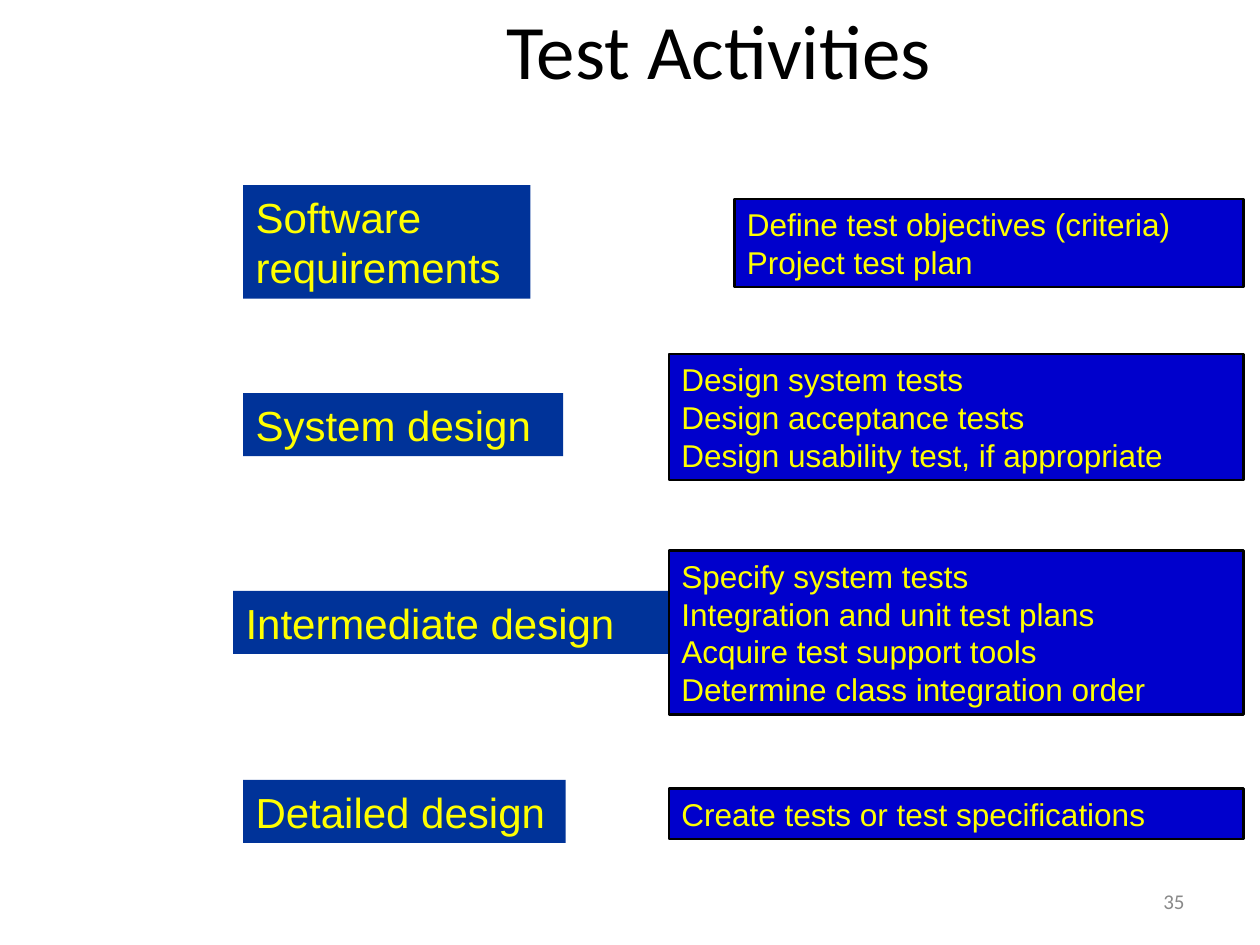
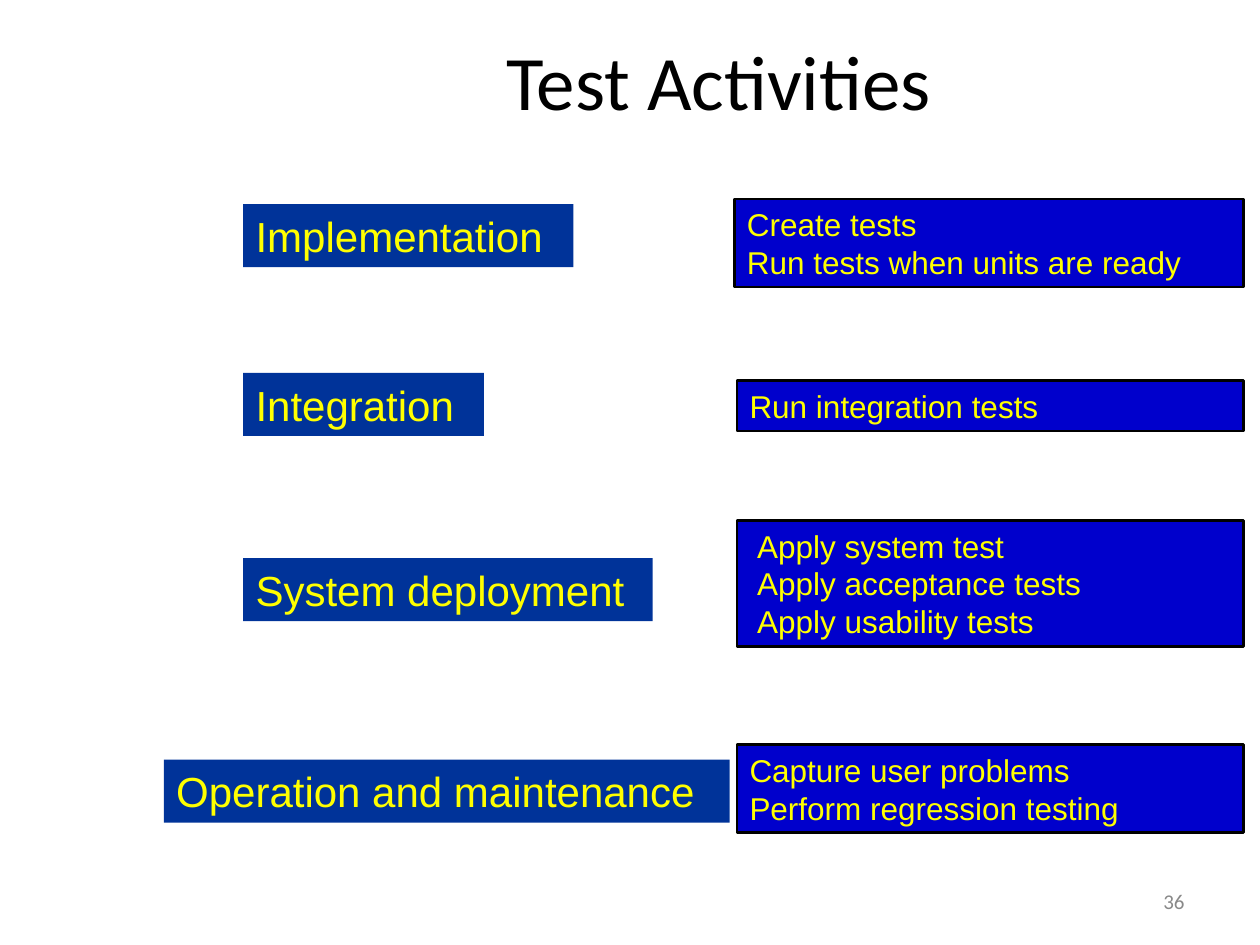
from pptx import Presentation
from pptx.dml.color import RGBColor
from pptx.enum import shapes, text
from pptx.util import Inches, Pt

TITLE = "Test Activities"
PHASE_FILL, ACTIVITY_FILL = "003399", "0000CC"
YELLOW, BLACK, GREY = "FFFF00", "000000", "898989"
PHASE_LEFT, ACTIVITY_RIGHT = 1.93, 9.87
PAD_X, PAD_Y = 0.1, 0.05

# phase: (lines, left, top, width); activities: (lines, left, top, indent)
SLIDES = [
    {"number": 35, "title_top": 0, "title_height": 0.77, "rows": [
        ((["Software requirements"], PHASE_LEFT, 1.47, 2.28),
         (["Define test objectives (criteria)", "Project test plan"], 5.83, 1.58, 0)),
        ((["System design"], PHASE_LEFT, 3.12, 2.54),
         (["Design system tests", "Design acceptance tests",
           "Design usability test, if appropriate"], 5.31, 2.81, 0)),
        ((["Intermediate design"], 1.85, 4.69, 3.49),
         (["Specify system tests", "Integration and unit test plans",
           "Acquire test support tools", "Determine class integration order"],
          5.31, 4.37, 0)),
        ((["Detailed design"], PHASE_LEFT, 6.19, 2.56),
         (["Create tests or test specifications"], 5.31, 6.26, 0)),
    ]},
    {"number": 36, "title_top": 0.21, "title_height": 0.85, "rows": [
        ((["Implementation"], PHASE_LEFT, 1.62, 2.62),
         (["Create tests", "Run tests when units are ready"], 5.83, 1.58, 0)),
        ((["Integration"], PHASE_LEFT, 2.96, 1.91),
         (["Run integration tests"], 5.85, 3.02, 0)),
        ((["System deployment"], PHASE_LEFT, 4.43, 3.25),
         (["Apply system test", "Apply acceptance tests", "Apply usability tests"],
          5.85, 4.13, 0.06)),
        ((["Operation and maintenance"], 1.3, 6.03, 4.49),
         (["Capture user problems", "Perform regression testing"], 5.85, 5.91, 0)),
    ]},
]
TWO_LINE_PHASES = {"Software requirements"}


def rgb(color):
    return RGBColor.from_string(color)


def write(sp, lines, size, font, color, align=text.PP_ALIGN.LEFT,
          anchor=text.MSO_ANCHOR.TOP, indent=0):
    tf = sp.text_frame
    tf.word_wrap = True
    tf.vertical_anchor = anchor
    tf.margin_left, tf.margin_right = Inches(PAD_X + indent), Inches(PAD_X)
    tf.margin_top = tf.margin_bottom = Inches(PAD_Y)
    for i, line in enumerate(lines):
        p = tf.add_paragraph() if i else tf.paragraphs[0]
        p.text = line
        p.alignment = align
        p.font.size, p.font.name = Pt(size), font
        p.font.color.rgb = rgb(color)


def add_label(s, line, at, size, color, align):
    sp = s.shapes.add_textbox(*map(Inches, at))
    write(sp, [line], size, "Calibri", color, align, text.MSO_ANCHOR.MIDDLE)


def add_box(s, lines, at, size, fill, outlined=False, indent=0):
    sp = s.shapes.add_shape(shapes.MSO_SHAPE.RECTANGLE, *map(Inches, at))
    sp.shadow.inherit = False
    sp.fill.solid()
    sp.fill.fore_color.rgb = rgb(fill)
    if outlined:
        sp.line.color.rgb = rgb(BLACK)
        sp.line.width = Pt(1.5)
    else:
        sp.line.fill.background()
    write(sp, lines, size, "Arial", YELLOW, indent=indent)


def add_phase(s, lines, left, top, width):
    line_count = 2 if lines[0] in TWO_LINE_PHASES else 1
    height = 2 * PAD_Y + 0.4 * line_count
    add_box(s, lines, (left, top, width, height), 24, PHASE_FILL)


def add_activities(s, lines, left, top, indent):
    height = 2 * PAD_Y + 0.3 * len(lines)
    add_box(s, lines, (left, top, ACTIVITY_RIGHT - left, height), 18,
            ACTIVITY_FILL, outlined=True, indent=indent)


def main():
    prs = Presentation()
    prs.slide_width, prs.slide_height = Inches(10), Inches(7.5)
    for content in SLIDES:
        s = prs.slides.add_slide(prs.slide_layouts[6])
        add_label(s, str(content["number"]), (7.17, 6.95, 2.33, 0.4), 12, GREY,
                  text.PP_ALIGN.RIGHT)
        add_label(s, TITLE, (1.93, content["title_top"], 7.55, content["title_height"]),
                  44, BLACK, text.PP_ALIGN.CENTER)
        for phase, activities in content["rows"]:
            add_phase(s, *phase)
            add_activities(s, *activities)
    prs.save("out.pptx")


if __name__ == "__main__":
    main()
